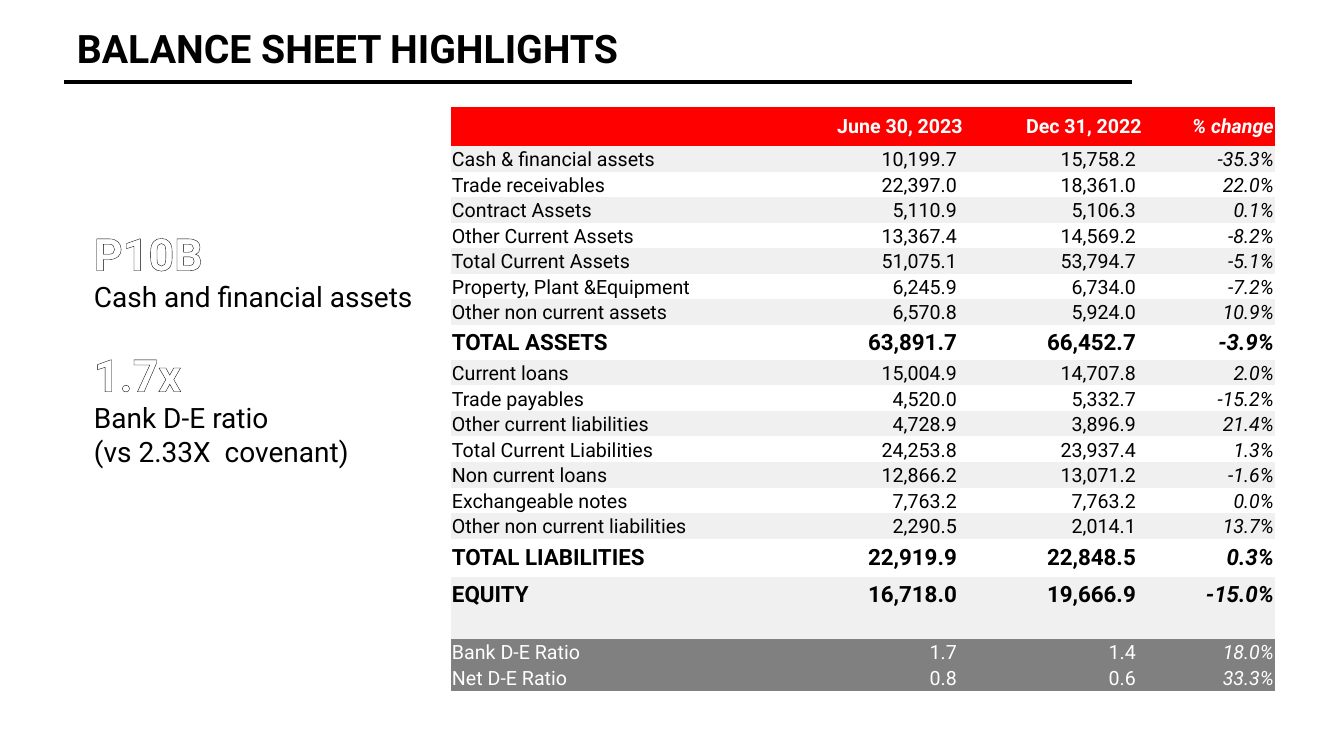
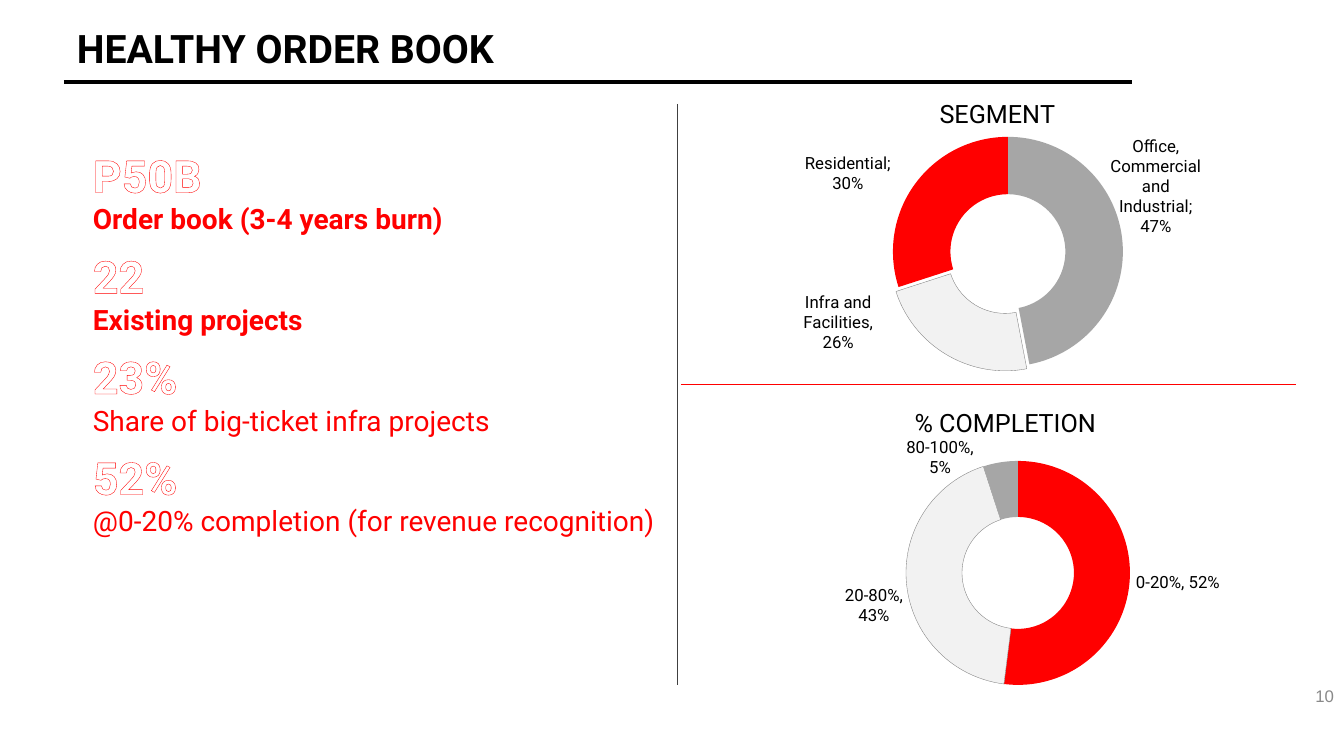
from math import cos, pi, sin

from lxml.etree import SubElement
from pptx import Presentation
from pptx.chart.data import CategoryChartData as ChartData
from pptx.dml.color import RGBColor as Rgb
from pptx.enum.chart import XL_CHART_TYPE as Kind
from pptx.enum.shapes import MSO_CONNECTOR as Link
from pptx.enum.text import MSO_ANCHOR as Anchor, PP_ALIGN as Align
from pptx.oxml import parse_xml
from pptx.oxml.ns import nsdecls, qn
from pptx.util import Pt

SCALE = 914400 / 100.8
FONT = "Roboto"
HUES = {
    "black": "000000", "white": "FFFFFF", "red": "FF0000", "band": "F0F0F0",
    "slate": "808080", "gray": "A6A6A6", "pale": "F2F2F2", "page": "898989",
    "rule": "404040",
}
NO_STYLE = "{2D5ABB26-0587-4C30-8999-92F81FD0307C}"

COLS = [383, 130, 179, 132]
# Height of each block of equal rows, and how many rows it holds
BLOCKS = [(39, 1), (179, 7), (35, 1), (179, 7), (38, 1), (36, 1), (26, 1), (52, 2)]
SHEET = [
    ("", "June 30, 2023", "Dec 31, 2022", "% change"),
    ("Cash & financial assets", "10,199.7", "15,758.2", "-35.3%"),
    ("Trade receivables", "22,397.0", "18,361.0", "22.0%"),
    ("Contract Assets", "5,110.9", "5,106.3", "0.1%"),
    ("Other Current Assets", "13,367.4", "14,569.2", "-8.2%"),
    ("Total Current Assets", "51,075.1", "53,794.7", "-5.1%"),
    ("Property, Plant &Equipment", "6,245.9", "6,734.0", "-7.2%"),
    ("Other non current assets", "6,570.8", "5,924.0", "10.9%"),
    ("TOTAL ASSETS", "63,891.7", "66,452.7", "-3.9%"),
    ("Current loans", "15,004.9", "14,707.8", "2.0%"),
    ("Trade payables", "4,520.0", "5,332.7", "-15.2%"),
    ("Other current liabilities", "4,728.9", "3,896.9", "21.4%"),
    ("Total Current Liabilities", "24,253.8", "23,937.4", "1.3%"),
    ("Non current loans", "12,866.2", "13,071.2", "-1.6%"),
    ("Exchangeable notes", "7,763.2", "7,763.2", "0.0%"),
    ("Other non current liabilities", "2,290.5", "2,014.1", "13.7%"),
    ("TOTAL LIABILITIES", "22,919.9", "22,848.5", "0.3%"),
    ("EQUITY", "16,718.0", "19,666.9", "-15.0%"),
    ("", "", "", ""),
    ("Bank D-E Ratio", "1.7", "1.4", "18.0%"),
    ("Net D-E Ratio", "0.8", "0.6", "33.3%"),
]


def px(n):
    return round(n * SCALE)


def hue(name):
    return Rgb.from_string(HUES[name])


def style(font, size, color="black", bold=False, italic=False, face=FONT):
    font.size, font.bold, font.italic, font.name = Pt(size), bold, italic, face
    font.color.rgb = hue(color)


def write(par, text, edge=None, **look):
    """Add text to a paragraph; edge names the colour of a letter outline."""
    for i, line in enumerate(text.split("\n")):
        if i:
            par.add_line_break()
        run = par.add_run()
        run.text = line
        style(run.font, **look)
        if edge:
            run._r.get_or_add_rPr().insert(0, parse_xml(
                f'<a:ln {nsdecls("a")} w="10160"><a:solidFill>'
                f'<a:srgbClr val="{HUES[edge]}"/></a:solidFill></a:ln>'))


def frame(slide, x, y, w, h, anchor=Anchor.TOP):
    body = slide.shapes.add_textbox(px(x), px(y), px(w), px(h)).text_frame
    body.word_wrap = True
    body.vertical_anchor = anchor
    return body


def rule(slide, x1, y1, x2, y2, color, width):
    line = slide.shapes.add_connector(Link.STRAIGHT, px(x1), px(y1), px(x2), px(y2))
    line.line.color.rgb = hue(color)
    line.line.width = Pt(width)
    SubElement(line._element.spPr, qn("a:effectLst"))


def start(deck, title):
    """Add a slide with its heading and the rule under it."""
    slide = deck.slides.add_slide(deck.slide_layouts[6])
    rule(slide, 64, 82, 1132, 82, "black", 2.25)
    par = frame(slide, 67, 14, 1112, 73, Anchor.MIDDLE).paragraphs[0]
    par.line_spacing = 0.9
    write(par, title, size=28, bold=True)
    return slide


def facts(slide, x, y, w, h, items, color, gap):
    """List big outlined figures, each above its caption."""
    body = frame(slide, x, y, w, h)
    for i, (figure, caption, bold) in enumerate(items):
        par = body.add_paragraph() if i else body.paragraphs[0]
        par.space_before = Pt(gap if i else 0)
        write(par, figure, edge=color, size=32, color="white", bold=True)
        par.add_line_break()
        write(par, caption, size=20, color=color, bold=bold)


def cell(box, text, fill, side, pad, anchor, **look):
    box.fill.solid()
    box.fill.fore_color.rgb = hue(fill)
    box.margin_left = box.margin_top = px(1)
    box.margin_right, box.margin_bottom = px(pad), 0
    box.vertical_anchor = anchor
    par = box.text_frame.paragraphs[0]
    par.alignment = side
    if text:
        write(par, text, **look)
    else:
        par._p.get_or_add_endParaRPr().set("sz", "1400")


def sheet(slide, x, y):
    tall = sum(h for h, _ in BLOCKS)
    grid = slide.shapes.add_table(
        len(SHEET), len(COLS), px(x), px(y), px(sum(COLS)), px(tall)).table
    grid.first_row = grid.horz_banding = False
    grid._tbl.tblPr.find(qn("a:tableStyleId")).text = NO_STYLE
    for col, wide in zip(grid.columns, COLS):
        col.width = px(wide)
    highs = [px(h) // n for h, n in BLOCKS for _ in range(n)]
    last = len(SHEET) - 1
    for r, (row, texts) in enumerate(zip(grid.rows, SHEET)):
        row.height = highs[r]
        head, foot = r == 0, r > last - 2
        total = texts[0].isupper()
        if head or foot:
            fill = "red" if head else "slate"
        else:
            fill = "band" if r % 2 or r == last - 2 else "white"
        for c, text in enumerate(texts):
            cell(row.cells[c], text, fill,
                 side=Align.RIGHT if c else Align.LEFT,
                 pad=7 if c in (1, 2) and not head else 1,
                 anchor=Anchor.MIDDLE if head or total else Anchor.BOTTOM,
                 size=16 if total else 14, bold=head or total, italic=c == 3,
                 color="white" if head or foot else "black")


def place(node, index, x, y, w=None, h=None, edge=True):
    """Give a chart part a manual layout, in fractions of the chart."""
    old = node.find(qn("c:layout"))
    if old is not None:
        node.remove(old)
    parts = []
    if edge:
        parts += [("xMode", "edge"), ("yMode", "edge")]
    parts += [("x", x), ("y", y)]
    if w:
        parts = [("layoutTarget", "inner")] + parts + [("w", w), ("h", h)]
    body = "".join(
        f'<c:{k} val="{v if isinstance(v, str) else round(v, 4)}"/>' for k, v in parts)
    node.insert(index, parse_xml(
        f'<c:layout {nsdecls("c")}><c:manualLayout>{body}</c:manualLayout></c:layout>'))


def label(point, note, shift, sep, shown):
    tag = point.data_label
    if note:
        body = tag.text_frame
        for i, line in enumerate(note):
            write(body.add_paragraph() if i else body.paragraphs[0], line, size=12)
    else:
        style(tag.font, 12)
    node = tag._get_or_add_dLbl()
    for key in ("Val", "CatName", "Percent"):
        node.find(qn(f"c:show{key}")).set("val", str(int(key in ("CatName", shown))))
    SubElement(node, qn("c:separator")).text = sep
    place(node, 1, *shift, edge=False)


def ring(slide, box, title, spot, hub, radius, slices, sep, shown, form, burst=None):
    """Draw a doughnut; a slice is name, value, colour, label centre, label lines."""
    x, y, w, h = box
    data = ChartData(number_format=form)
    data.categories = [s[0] for s in slices]
    data.add_series("Series 1", [s[1] for s in slices])
    chart = slide.shapes.add_chart(
        Kind.DOUGHNUT, px(x), px(y), px(w), px(h), data).chart
    chart.has_legend = False
    style(chart.font, 10)
    chart.has_title = True
    write(chart.chart_title.text_frame.paragraphs[0], title, size=18)
    place(chart.chart_title._element, 1, (spot[0] - x) / w, (spot[1] - y) / h)
    place(chart._chartSpace.chart.plotArea, 0, (hub[0] - radius - x) / w,
          (hub[1] - radius - y) / h, 2 * radius / w, 2 * radius / h)
    plot = chart.plots[0]
    plot.vary_by_categories = True
    series = plot.series[0]
    total, done = sum(s[1] for s in slices), 0
    for i, (_, value, color, aim, note) in enumerate(slices):
        point = series.points[i]
        point.format.fill.solid()
        point.format.fill.fore_color.rgb = hue(color)
        if color == "pale":
            point.format.line.color.rgb = hue("slate")
            point.format.line.width = Pt(0.25)
        else:
            point.format.line.fill.background()
        turn = 2 * pi * (done + value / 2) / total
        done += value
        mid = radius * 0.75
        label(point, note, ((aim[0] - hub[0] - mid * sin(turn)) / w,
                            (aim[1] - hub[1] + mid * cos(turn)) / h), sep, shown)
    if burst is not None:
        dot = series._element.findall(qn("c:dPt"))[burst]
        dot.find(qn("c:spPr")).addprevious(
            parse_xml(f'<c:explosion {nsdecls("c")} val="9"/>'))
    tags = series.data_labels
    tags.number_format, tags.number_format_is_linked = "0%", False
    lead = series._element.find(qn("c:dLbls")).find(qn("c:showLeaderLines"))
    if lead is not None:
        lead.set("val", "0")


def main():
    deck = Presentation()
    deck.slide_width, deck.slide_height = px(1344), px(756)

    slide = start(deck, "BALANCE SHEET HIGHLIGHTS")
    sheet(slide, 451, 107)
    facts(slide, 84, 221, 365, 254, [
        ("P10B", "Cash and financial assets", False),
        ("1.7x", "Bank D-E ratio\n(vs 2.33X  covenant)", False),
    ], "black", 24)

    slide = start(deck, "HEALTHY ORDER BOOK")
    rule(slide, 681, 384, 1296, 384, "red", 0.5)
    ring(slide, (677, 79, 611, 292), "SEGMENT", (935, 93), (1008, 252), 115, [
        ("Office, Commercial and Industrial", 0.47, "gray", (1156, 187), None),
        ("Infrastructure", 0.23, "pale", (841, 319), ("Infra and Facilities,", "26%")),
        ("Residential", 0.3, "red", (848, 174), None),
    ], "; ", "Val", "0%", burst=1)
    rule(slide, 677, 104, 677, 685, "rule", 0.5)
    ring(slide, (726, 394, 582, 298), "% COMPLETION", (910, 402), (1018, 573), 112, [
        ("0-20%", 52, "red", (1178, 583), None),
        ("20-80%", 43, "pale", (874, 606), None),
        ("80-100%", 5, "gray", (940, 458), None),
    ], ", ", "Percent", "General")
    facts(slide, 83, 143, 596, 404, [
        ("P50B", "Order book (3-4 years burn)", True),
        ("22", "Existing projects", True),
        ("23%", "Share of big-ticket infra projects", False),
        ("52%", "@0-20% completion (for revenue recognition)", False),
    ], "red", 9.5)
    par = frame(slide, 1042, 676, 302, 40, Anchor.MIDDLE).paragraphs[0]
    par.alignment = Align.RIGHT
    write(par, "10", size=12, color="page", face="Arial")

    deck.save("out.pptx")


if __name__ == "__main__":
    main()
